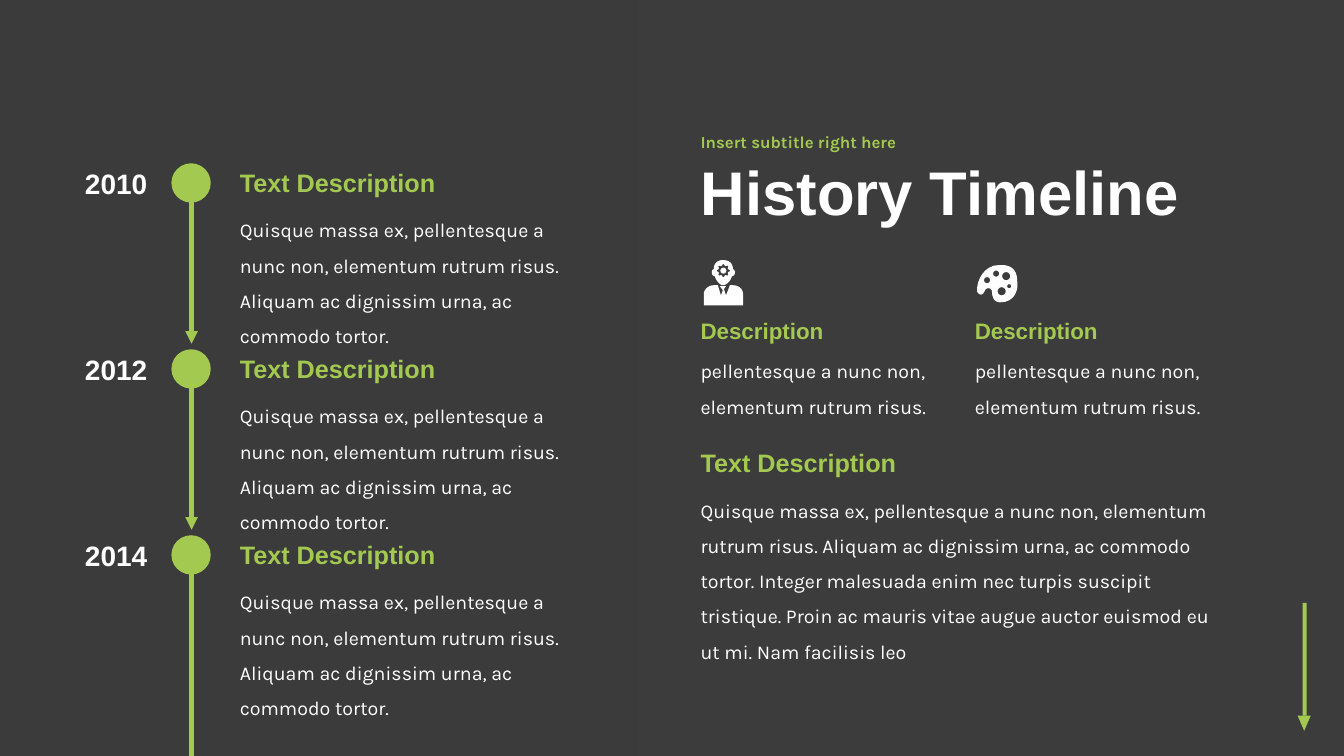
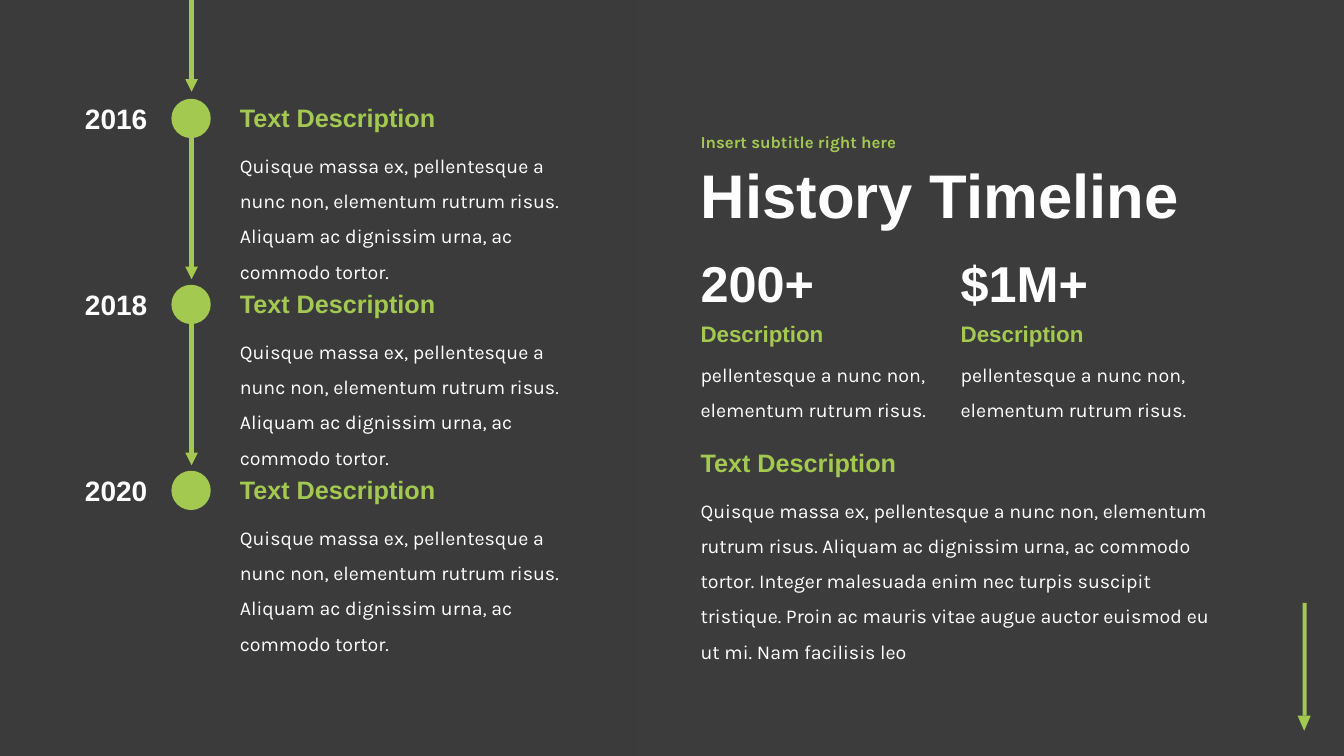
import math

import pptx
import pptx.dml.color
import pptx.enum.shapes
import pptx.enum.text
import pptx.oxml
import pptx.oxml.ns
import pptx.util

COLOURS = {"ground": "3C3C3C", "accent": "A3C951", "light": "FFFFFF"}
HEAD_FONT, BODY_FONT = "Arial", "Karla"
SHAPES = pptx.enum.shapes.MSO_SHAPE
ALIGN = pptx.enum.text.PP_ALIGN
ANCHOR = pptx.enum.text.MSO_ANCHOR
FIT = pptx.enum.text.MSO_AUTO_SIZE

# Grid, in inches
WIDTH, HEIGHT = 13.33, 7.5
YEAR_LEFT, DOT_LEFT, EVENT_LEFT = 0.57, 1.7, 2.28
DOT = 0.39
AXIS = 1.9
STEP = 1.845
RIGHT = 6.85

# Wording
FEATURE_TEXT = "pellentesque a nunc non, elementum rutrum risus."
EVENT_TEXT = ("Quisque massa ex, pellentesque a nunc non, elementum rutrum risus. "
              "Aliquam ac dignissim urna, ac commodo tortor.")
SUMMARY_TEXT = EVENT_TEXT + (
    " Integer malesuada enim nec turpis suscipit tristique. "
    "Proin ac mauris vitae augue auctor euismod eu ut mi. Nam facilisis leo")

# Icon outlines: pairs are straight steps, sixes are Bézier curves
BUST = [(7.27, 2.83), (7.24, 2.83), (7.2, 2.93), (7.18, 2.87), (7.2, 2.84),
        (7.14, 2.84), (7.17, 2.88), (7.15, 2.93), (7.12, 2.83), (7.08, 2.83),
        (7.03, 2.83, 6.98, 2.87, 6.98, 2.92), (6.98, 3.03), (7.37, 3.03),
        (7.37, 2.92), (7.37, 2.87, 7.33, 2.83, 7.27, 2.83)]
HEAD = [(7.27, 2.67), (7.27, 2.61, 7.23, 2.58, 7.17, 2.58),
        (7.12, 2.58, 7.08, 2.61, 7.08, 2.67), (7.07, 2.67, 7.06, 2.69, 7.06, 2.7),
        (7.06, 2.72, 7.07, 2.74, 7.09, 2.74), (7.1, 2.78, 7.14, 2.83, 7.17, 2.83),
        (7.21, 2.83, 7.25, 2.78, 7.26, 2.74), (7.28, 2.74, 7.29, 2.72, 7.29, 2.7),
        (7.29, 2.69, 7.28, 2.67, 7.27, 2.67)]
PALETTE = [(9.91, 2.63), (9.76, 2.63, 9.69, 2.78, 9.69, 2.88),
           (9.69, 2.91, 9.74, 2.96, 9.77, 2.88), (9.78, 2.85, 9.84, 2.85, 9.84, 2.9),
           (9.84, 2.96, 9.87, 3, 9.92, 3), (10.07, 3, 10.1, 2.87, 10.09, 2.8),
           (10.09, 2.72, 10.07, 2.62, 9.91, 2.63)]
PALETTE_HOLES = [(9.79, 2.78, 0.03), (9.88, 2.715, 0.03), (9.935, 2.89, 0.04),
                 (10.01, 2.84, 0.02), (9.98, 2.74, 0.04)]


def rgb(name):
    return pptx.dml.color.RGBColor.from_string(COLOURS[name])


def place(*lengths):
    return [pptx.util.Inches(length) for length in lengths]


# Text
def write(frame, text, size, colour, font=HEAD_FONT, bold=True, spacing=None,
          align=ALIGN.LEFT):
    frame.word_wrap = True
    para = frame.paragraphs[0]
    para.alignment = align
    if spacing:
        para.line_spacing = spacing
    span = para.add_run()
    span.text = text
    span.font.size = pptx.util.Pt(size)
    span.font.name = font
    span.font.bold = bold
    span.font.color.rgb = rgb(colour)


def add_text(page, area, text, size, colour, **style):
    box = page.shapes.add_textbox(*place(*area))
    write(box.text_frame, text, size, colour, **style)
    box.text_frame.auto_size = FIT.SHAPE_TO_FIT_TEXT
    return box


def add_body(page, area, text):
    add_text(page, area, text, 14, "light", font=BODY_FONT, bold=False, spacing=1.5)


def add_heading(page, left, top):
    add_text(page, (left, top, 2.92, 0.4), "Text Description", 18, "accent")


# Shapes and lines
def finish(shape, colour):
    shape.shadow.inherit = False
    shape.fill.solid()
    shape.fill.fore_color.rgb = rgb(colour)
    shape.line.fill.background()
    return shape


def add_shape(page, kind, area, colour):
    return finish(page.shapes.add_shape(kind, *place(*area)), colour)


def add_axis(page, top, bottom, arrow=True):
    line = page.shapes.add_connector(
        pptx.enum.shapes.MSO_CONNECTOR.STRAIGHT, *place(AXIS, top, AXIS, bottom))
    line.line.color.rgb = rgb("accent")
    line.line.width = pptx.util.Pt(3)
    if arrow:
        tail = pptx.oxml.parse_xml(
            f'<a:tailEnd {pptx.oxml.ns.nsdecls("a")} type="triangle"/>')
        line.line._get_or_add_ln().append(tail)
    line._element.spPr.append(
        pptx.oxml.parse_xml(f'<a:effectLst {pptx.oxml.ns.nsdecls("a")}/>'))


def add_panel(page, clear_stop):
    panel = add_shape(page, SHAPES.RECTANGLE, (0, 0, 6.32, HEIGHT), "ground")
    panel.fill.gradient()
    panel.fill.gradient_angle = 270
    for stop in panel.fill.gradient_stops:
        stop.color.rgb = rgb("ground")
    stops = panel._element.spPr.findall(".//" + pptx.oxml.ns.qn("a:srgbClr"))
    stops[clear_stop].append(pptx.oxml.parse_xml(
        f'<a:alpha {pptx.oxml.ns.nsdecls("a")} val="80000"/>'))


# Icons
def trace(steps, parts=8):
    points = [steps[0]]
    for step in steps[1:]:
        if len(step) == 2:
            points.append(step)
            continue
        start, first, second, end = points[-1], step[:2], step[2:4], step[4:]
        for part in range(1, parts + 1):
            t = part / parts
            u = 1 - t
            points.append(tuple(
                u**3 * a + 3 * u * u * t * b + 3 * u * t * t * c + t**3 * d
                for a, b, c, d in zip(start, first, second, end)))
    return points


def ring(x, y, radii, count=32):
    # The radii take turns, two points each, so two radii make a gear
    points = []
    for index in range(count):
        angle = 2 * math.pi * (index - 0.5) / count
        radius = radii[index // 2 % len(radii)]
        points.append((x + radius * math.cos(angle), y + radius * math.sin(angle)))
    return points


def add_outline(page, *contours):
    outline = None
    for contour in contours:
        start, *rest = [place(*point) for point in contour]
        if outline is None:
            outline = page.shapes.build_freeform(*start)
        else:
            outline.move_to(*start)
        outline.add_line_segments(rest, close=True)
    finish(outline.convert_to_shape(), "light")


def add_person(page):
    add_outline(page, trace(BUST))
    add_outline(page, trace(HEAD), ring(7.175, 2.685, (0.065, 0.05)))
    add_shape(page, SHAPES.OVAL, (7.145, 2.655, 0.06, 0.06), "light")


def add_palette(page):
    add_outline(page, trace(PALETTE),
                *(ring(x, y, (radius,)) for x, y, radius in PALETTE_HOLES))


# Parts of the slides
def add_page(deck, title_top, clear_stop):
    page = deck.slides.add_slide(deck.slide_layouts.get_by_name("Title Only"))
    add_panel(page, clear_stop)
    title = page.shapes.title
    title.left, title.top, title.width, title.height = place(
        RIGHT, title_top, WIDTH - RIGHT, 1.03)
    write(title.text_frame, "History Timeline", 44, "light", spacing=0.9)
    title.text_frame.vertical_anchor = ANCHOR.MIDDLE
    title.text_frame.auto_size = FIT.NONE
    subtitle = add_text(page, (RIGHT, 1.23, WIDTH - RIGHT, 0.38),
                        "Insert subtitle right here", 12, "accent",
                        font=BODY_FONT, spacing=0.9)
    subtitle.text_frame.vertical_anchor = ANCHOR.MIDDLE
    subtitle.text_frame.auto_size = FIT.NONE
    # Scroll arrow in the corner
    add_shape(page, SHAPES.RECTANGLE, (12.92, 5.98, 0.04, 1.12), "accent")
    tip = add_shape(page, SHAPES.ISOSCELES_TRIANGLE, (12.87, 7.1, 0.13, 0.15), "accent")
    tip.rotation = 180
    # Summary
    add_body(page, (RIGHT, 4.78, 5.33, 1.48), SUMMARY_TEXT)
    add_heading(page, RIGHT, 4.39)
    return page


def add_timeline(page, first_top, years):
    for index, year in enumerate(years):
        top = first_top + index * STEP
        add_shape(page, SHAPES.OVAL, (DOT_LEFT, top, DOT, DOT), "accent")
        if index < len(years) - 1:
            add_axis(page, top + 0.38, top + 1.79)
        add_text(page, (YEAR_LEFT, top - 0.02, 0.99, 0.44), year, 20, "light",
                 align=ALIGN.RIGHT)
        add_body(page, (EVENT_LEFT, top + 0.38, 3.47, 1.12), EVENT_TEXT)
        add_heading(page, EVENT_LEFT, top - 0.01)


def add_feature(page, left, top):
    add_text(page, (left, top, 2, 0.37), "Description", 16, "accent")
    add_body(page, (left, top + 0.3, 2.53, 0.77), FEATURE_TEXT)


def main():
    deck = pptx.Presentation()
    deck.slide_width, deck.slide_height = place(WIDTH, HEIGHT)
    ground = deck.slide_master.background.fill
    ground.solid()
    ground.fore_color.rgb = rgb("ground")

    # First half of the timeline, with icons
    page = add_page(deck, 1.42, 0)
    add_timeline(page, 1.62, ("2010", "2012", "2014"))
    add_axis(page, 5.69, HEIGHT, arrow=False)
    add_person(page)
    add_palette(page)
    for left in (RIGHT, 9.57):
        add_feature(page, left, 3.1)

    # Second half, with figures
    page = add_page(deck, 1.45, 1)
    add_axis(page, 0, 0.91)
    add_timeline(page, 0.98, ("2016", "2018", "2020"))
    for left, figure in ((RIGHT, "200+"), (9.43, "$1M+")):
        add_text(page, (left, 2.45, 2, 0.71), figure, 36, "light")
        add_feature(page, left, 3.13)

    deck.save("out.pptx")


if __name__ == "__main__":
    main()
